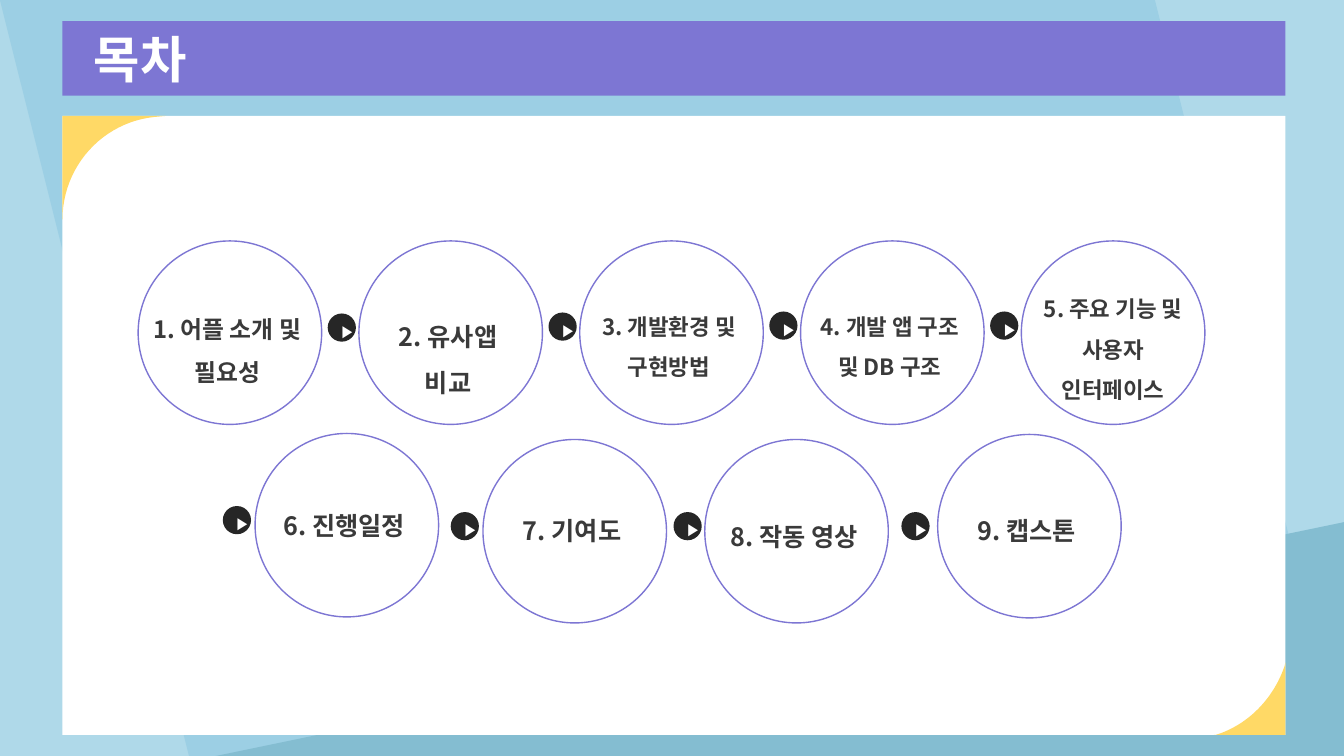
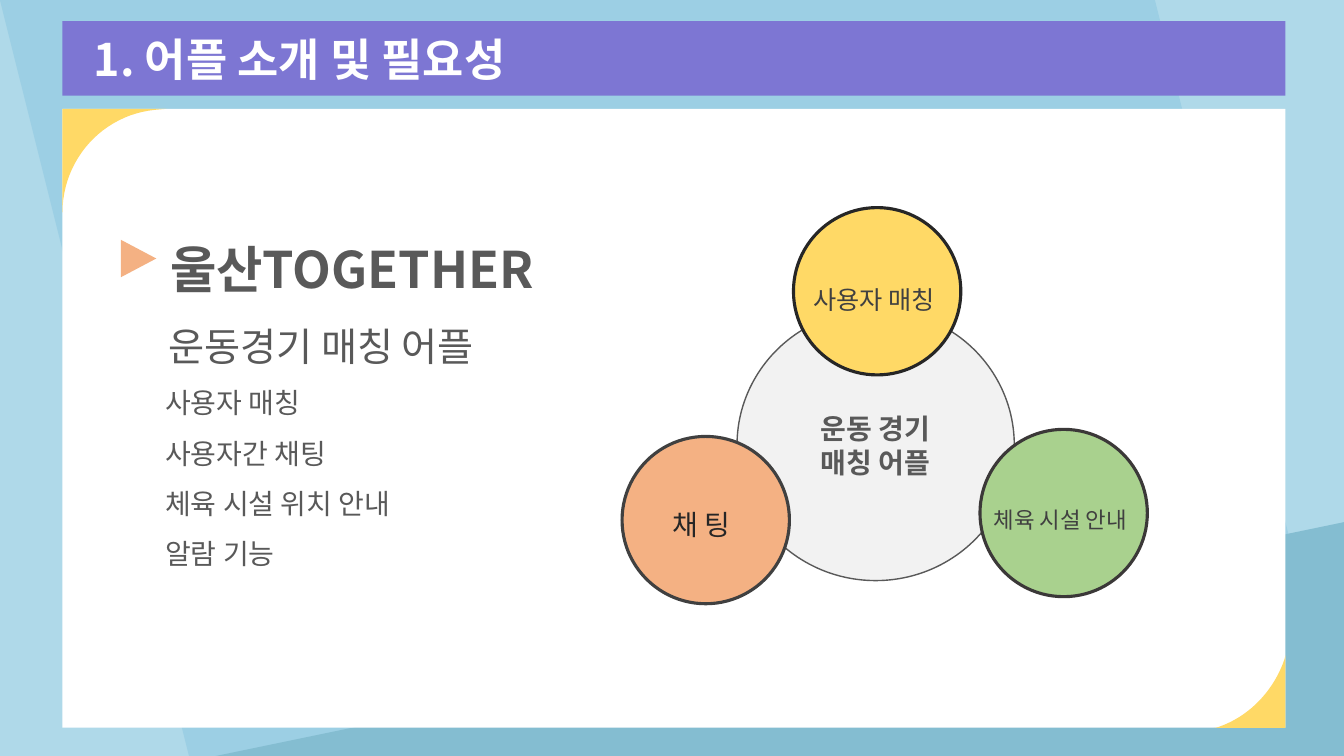
"""Build the contents slide and the app introduction slide."""
from lxml import etree
from pptx import Presentation, util as u
from pptx.dml.color import RGBColor
from pptx.enum import shapes, text
from pptx.oxml.ns import qn

WIDTH, HEIGHT = 13.33, 7.5
FONT, SYMBOL_FONT = "Noto Sans CJK KR", "Arial"
COLORS = {
    "back": "AFD9E9", "band": "9CCFE4", "slope": "84BDD1", "purple": "7D76D3",
    "white": "FFFFFF", "yellow": "FFD966", "black": "262626", "label": "3A3A3A",
    "gray": "595959", "dark": "404040", "brown": "3B3838", "pale": "F2F2F2",
    "orange": "F4B183", "green": "A9D18E",
}
PANEL_LEFT, PANEL_WIDTH, PANEL_HEIGHT = 0.62, 12.13, 6.14
RING, MARKER, BUBBLE = 1.82, 0.28, 1.66
RING_LEFT, RING_STEP, RING_TOP = 1.37, 2.19, 2.39

# Each topic: text, size, ring left and top, label top, marker left and top.
TOPICS = [
    ("1. 어플 소개 및 필요성", 17, RING_LEFT, RING_TOP, 2.93, None),
    ("2. 유사앱 비교", 18, RING_LEFT + RING_STEP, RING_TOP, 2.99, (3.25, 3.11)),
    ("3. 개발환경 및 구현방법", 16, RING_LEFT + 2 * RING_STEP, RING_TOP, 2.92, (5.44, 3.1)),
    ("4. 개발 앱 구조\n및 DB 구조", 16, RING_LEFT + 3 * RING_STEP, RING_TOP, 2.92, (7.63, 3.09)),
    ("5. 주요 기능 및 사용자 인터페이스", 16, RING_LEFT + 4 * RING_STEP, RING_TOP, 2.75, (9.82, 3.09)),
    ("6. 진행일정", 18, 2.53, 4.3, 4.86, (2.21, 5.02)),
    ("7. 기여도", 18, 4.79, 4.36, 4.91, (4.47, 5.08)),
    ("8. 작동 영상", 18, 6.99, 4.36, 4.97, (6.68, 5.08)),
    ("9. 캡스톤", 18, 9.3, 4.31, 4.91, (8.94, 5.08)),
]
WIDE_LABELS = {4: (0, RING)}
INTRO = [
    ("울산TOGETHER", 36, True, 0.11),
    ("운동경기 매칭 어플", 28, False, 0.09),
    ("사용자 매칭", 20, False, 0.06),
    ("사용자간 채팅", 20, False, 0.06),
    ("체육 시설 위치 안내", 20, False, 0.06),
    ("알람 기능", 20, False, 0.06),
]
BUBBLES = [
    ("사용자 매칭", 18, "dark", 7.87, 2.06, "yellow", "black", (7.62, 2.62, 2.1)),
    ("채 팅", 20, "black", 6.17, 4.33, "orange", "dark", (6.03, 4.82, 1.85)),
    ("체육 시설 안내", 16, "dark", 9.72, 4.26, "green", "brown", (9.59, 4.84, 1.85)),
]


def rgb(name):
    return RGBColor.from_string(COLORS[name])


def paint(shape, fill=None, line=None, weight=1):
    shape.shadow.inherit = False
    if fill:
        shape.fill.solid()
        shape.fill.fore_color.rgb = rgb(fill)
    else:
        shape.fill.background()
    if line:
        shape.line.color.rgb = rgb(line)
        shape.line.width = u.Pt(weight)
    else:
        shape.line.fill.background()
    return shape


def add_shape(slide, kind, left, top, width, height, fill=None, line=None, weight=1, flip=False):
    shape = slide.shapes.add_shape(kind, *map(u.Inches, (left, top, width, height)))
    if flip:
        shape._element.spPr.xfrm.set("flipH", "1")
    return paint(shape, fill, line, weight)


def style(para, size, color, bold=False, align=text.PP_ALIGN.CENTER, spacing=None, font=FONT):
    para.alignment = align
    if spacing:
        para.line_spacing = spacing
    for span in para.runs:
        span.font.size = u.Pt(size)
        span.font.bold = bold
        span.font.color.rgb = rgb(color)
        span.font.name = font
        etree.SubElement(span.font._element, qn("a:ea"), typeface=font)


def add_text(slide, words, left, top, width, size, color, bold=False, font=FONT):
    box = slide.shapes.add_textbox(*map(u.Inches, (left, top, width, size / 36)))
    frame = box.text_frame
    frame.word_wrap = True
    frame.auto_size = text.MSO_AUTO_SIZE.SHAPE_TO_FIT_TEXT
    frame.text = words
    for para in frame.paragraphs:
        style(para, size, color, bold, spacing=1.5, font=font)
    return box


def bezier(*points, steps=24):
    curve = []
    for step in range(steps + 1):
        t = step / steps
        weights = ((1 - t) ** 3, 3 * t * (1 - t) ** 2, 3 * t * t * (1 - t), t ** 3)
        curve.append(tuple(sum(w * point[axis] for w, point in zip(weights, points))
                           for axis in (0, 1)))
    return curve


def add_corner(slide, left, top, points):
    outline = [(u.Inches(left + x), u.Inches(top + y)) for x, y in points]
    builder = slide.shapes.build_freeform(*outline[0], scale=1)
    builder.add_line_segments(outline[1:], close=True)
    paint(builder.convert_to_shape(), "yellow")


def add_base(deck, title, size, panel_top):
    kinds = shapes.MSO_SHAPE
    slide = deck.slides.add_slide(deck.slide_layouts[6])
    slide.background.fill.solid()
    slide.background.fill.fore_color.rgb = rgb("back")
    add_shape(slide, kinds.PARALLELOGRAM, 0, 0, WIDTH, HEIGHT, "band", flip=True)
    add_shape(slide, kinds.RIGHT_TRIANGLE, 2.14, 5.18, 11.19, 2.32, "slope", flip=True)
    bar = add_shape(slide, kinds.RECTANGLE, PANEL_LEFT, 0.21, PANEL_WIDTH, 0.74, "purple")
    frame = bar.text_frame
    frame.margin_left = u.Inches(0.31)
    frame.vertical_anchor = text.MSO_ANCHOR.MIDDLE
    frame.text = title
    style(frame.paragraphs[0], size, "white", True, text.PP_ALIGN.LEFT)
    add_shape(slide, kinds.RECTANGLE, PANEL_LEFT, panel_top, PANEL_WIDTH, PANEL_HEIGHT, "white")
    add_corner(slide, PANEL_LEFT, panel_top,
               [(0, 0), (1.03, 0)] + bezier((0.92, 0.01), (0.4, 0.06), (0, 0.5), (0, 1.03)))
    add_corner(slide, PANEL_LEFT + PANEL_WIDTH, panel_top + PANEL_HEIGHT,
               [(0, -0.72), (0, 0), (-0.71, 0)]
               + bezier((-0.69, 0), (-0.37, -0.1), (-0.12, -0.36), (-0.01, -0.68)))
    return slide


def build_contents(deck):
    slide = add_base(deck, "목차", 36, 1.15)
    oval = shapes.MSO_SHAPE.OVAL
    for index, (words, size, left, top, label_top, marker) in enumerate(TOPICS):
        add_shape(slide, oval, left, top, RING, RING, line="purple")
        shift, width = WIDE_LABELS.get(index, (0.05, 1.67))
        add_text(slide, words, left + shift, label_top, width, size, "label", True)
        if marker:
            x, y = marker
            add_shape(slide, oval, x, y, MARKER, MARKER, "black")
            add_text(slide, "▶", x + 0.04, y - 0.08, 0.23, 12, "white", True, SYMBOL_FONT)


def build_intro(deck):
    slide = add_base(deck, "1. 어플 소개 및 필요성", 32, 1.08)
    kinds = shapes.MSO_SHAPE
    words = "\n".join(line[0] for line in INTRO)
    box = add_text(slide, words, 1.48, 2.01, 6.85, 20, "gray")
    box.height = u.Inches(3.69)
    for para, (_, size, bold, indent) in zip(box.text_frame.paragraphs, INTRO):
        para.runs[0].font.size = u.Pt(size)
        para.runs[0].font.bold = bold
        para.alignment = text.PP_ALIGN.LEFT
        para._p.get_or_add_pPr().set("marL", str(u.Inches(indent)))
    hub = add_shape(slide, kinds.OVAL, 7.31, 3.07, 2.75, 2.69, "pale", "gray")
    hub.text_frame.vertical_anchor = text.MSO_ANCHOR.MIDDLE
    hub.text_frame.text = "운동 경기\n매칭 어플"
    for para in hub.text_frame.paragraphs:
        style(para, 20, "gray", True)
    for words, size, color, left, top, fill, line, place in BUBBLES:
        add_shape(slide, kinds.OVAL, left, top, BUBBLE, BUBBLE, fill, line, 2.25)
        add_text(slide, words, *place, size, color)
    pointer = add_shape(slide, kinds.FLOWCHART_EXTRACT, 1.19, 2.39, 0.37, 0.35, "orange")
    pointer.rotation = 90


def main():
    deck = Presentation()
    deck.slide_width, deck.slide_height = u.Inches(WIDTH), u.Inches(HEIGHT)
    build_contents(deck)
    build_intro(deck)
    deck.save("out.pptx")


if __name__ == "__main__":
    main()
